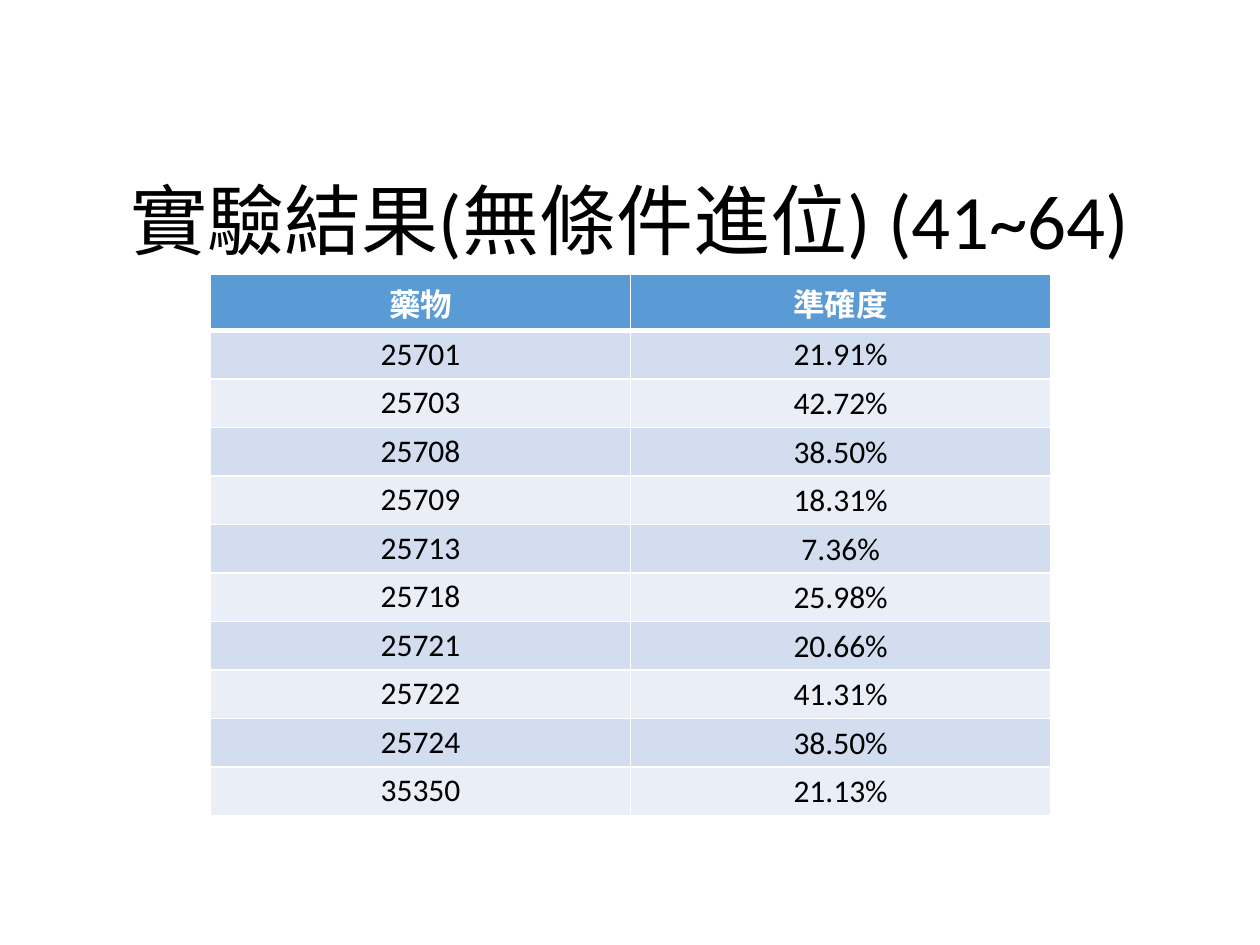
from lxml.etree import SubElement
from pptx import Presentation
from pptx.dml.color import RGBColor
from pptx.enum.text import MSO_ANCHOR as Anchor, PP_ALIGN as Align
from pptx.oxml.ns import qn
from pptx.util import Inches, Pt

TITLE = "實驗結果(無條件進位) (41~64)"
HEAD = ("藥物", "準確度")
DRUGS = [
    ("25701", "21.91%"),
    ("25703", "42.72%"),
    ("25708", "38.50%"),
    ("25709", "18.31%"),
    ("25713", "7.36%"),
    ("25718", "25.98%"),
    ("25721", "20.66%"),
    ("25722", "41.31%"),
    ("25724", "38.50%"),
    ("35350", "21.13%"),
]
BLUE, BANDS = "5B9BD5", ("EAEFF7", "D2DEEF")
WHITE, BLACK = "FFFFFF", "000000"
LEFT, TOP, WIDTH, HEIGHT = 1.67, 2.18, 6.67, 4.12


def color(code):
    return RGBColor.from_string(code)


def write(frame, text, size, code, bold=False):
    para = frame.paragraphs[0]
    para.text = text
    para.alignment = Align.CENTER
    font = para.font
    font.name, font.size, font.bold = "Calibri", Pt(size), bold
    font.color.rgb = color(code)
    return para


def border(cell, side, width):
    props = cell._tc.get_or_add_tcPr()
    line = SubElement(props, qn(f"a:ln{side}"), w=str(Pt(width)))
    fill = SubElement(line, qn("a:solidFill"))
    SubElement(fill, qn("a:srgbClr"), val=WHITE)


deck = Presentation()
deck.slide_width, deck.slide_height = Inches(10), Inches(7.5)
slide = deck.slides.add_slide(deck.slide_layouts[6])

# Accuracy table
rows = [HEAD] + DRUGS
table = slide.shapes.add_table(
    len(rows), len(HEAD),
    Inches(LEFT), Inches(TOP), Inches(WIDTH), Inches(HEIGHT)).table
for r, row in enumerate(rows):
    for c, text in enumerate(row):
        cell = table.cell(r, c)
        head = r == 0
        # A thick rule parts the header from the body
        widths = {"L": 1, "R": 1, "T": 3 if r == 1 else 1, "B": 3 if head else 1}
        for side, width in widths.items():
            border(cell, side, width)
        cell.fill.solid()
        cell.fill.fore_color.rgb = color(BLUE if head else BANDS[r % 2])
        cell.margin_left = cell.margin_right = Inches(0.07)
        cell.margin_top = cell.margin_bottom = Inches(0.04)
        if c == 1 and not head:
            cell.vertical_anchor = Anchor.MIDDLE
            cell.margin_left = cell.margin_right = cell.margin_top = Inches(0.01)
            cell.margin_bottom = 0
        write(cell.text_frame, text, 18, WHITE if head else BLACK, head)

# Title
box = slide.shapes.add_textbox(Inches(0.69), Inches(1.24), Inches(8.62), Inches(1.09))
frame = box.text_frame
frame.word_wrap = True
frame.vertical_anchor = Anchor.MIDDLE
write(frame, TITLE, 44, BLACK).line_spacing = 0.9

deck.save("out.pptx")
